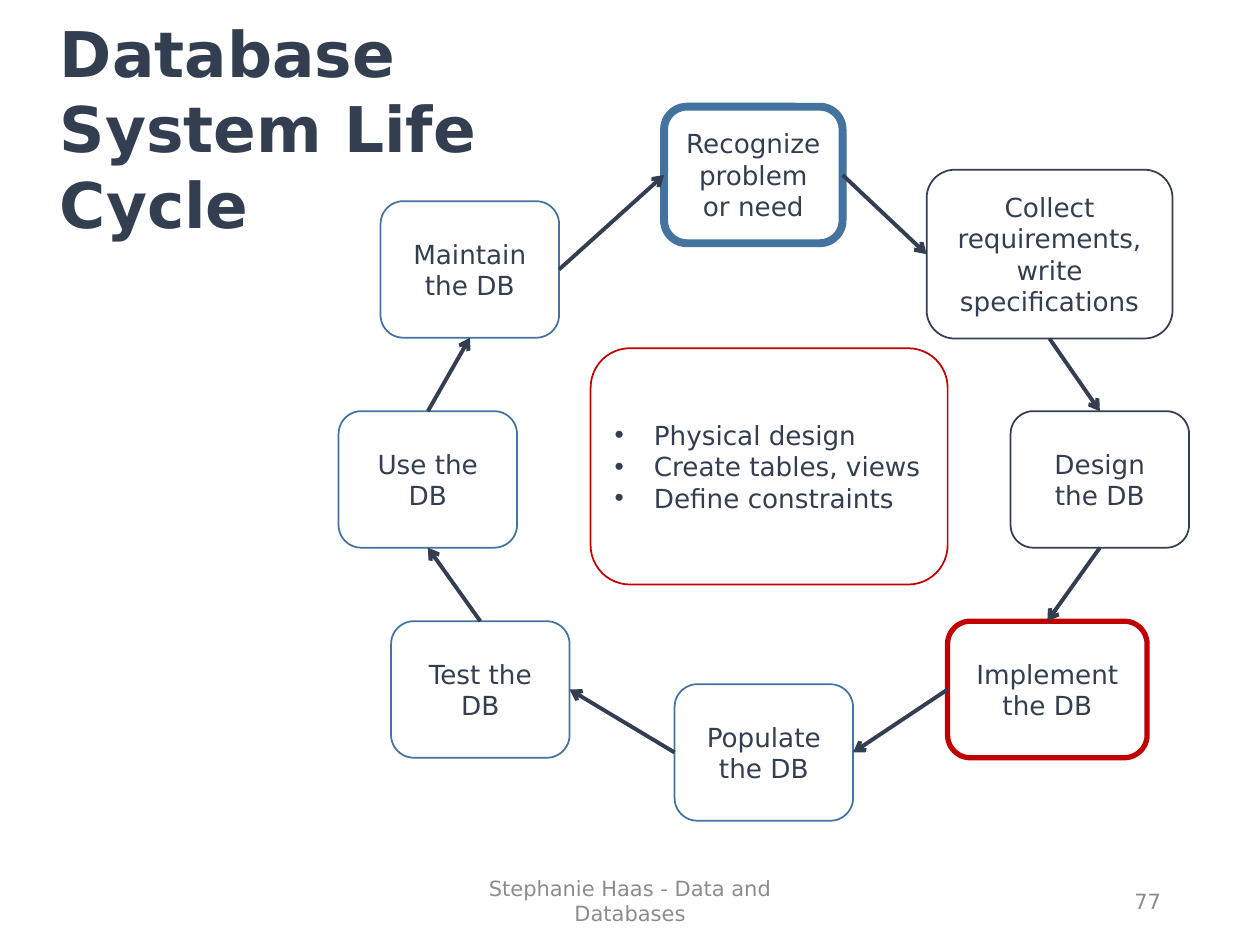
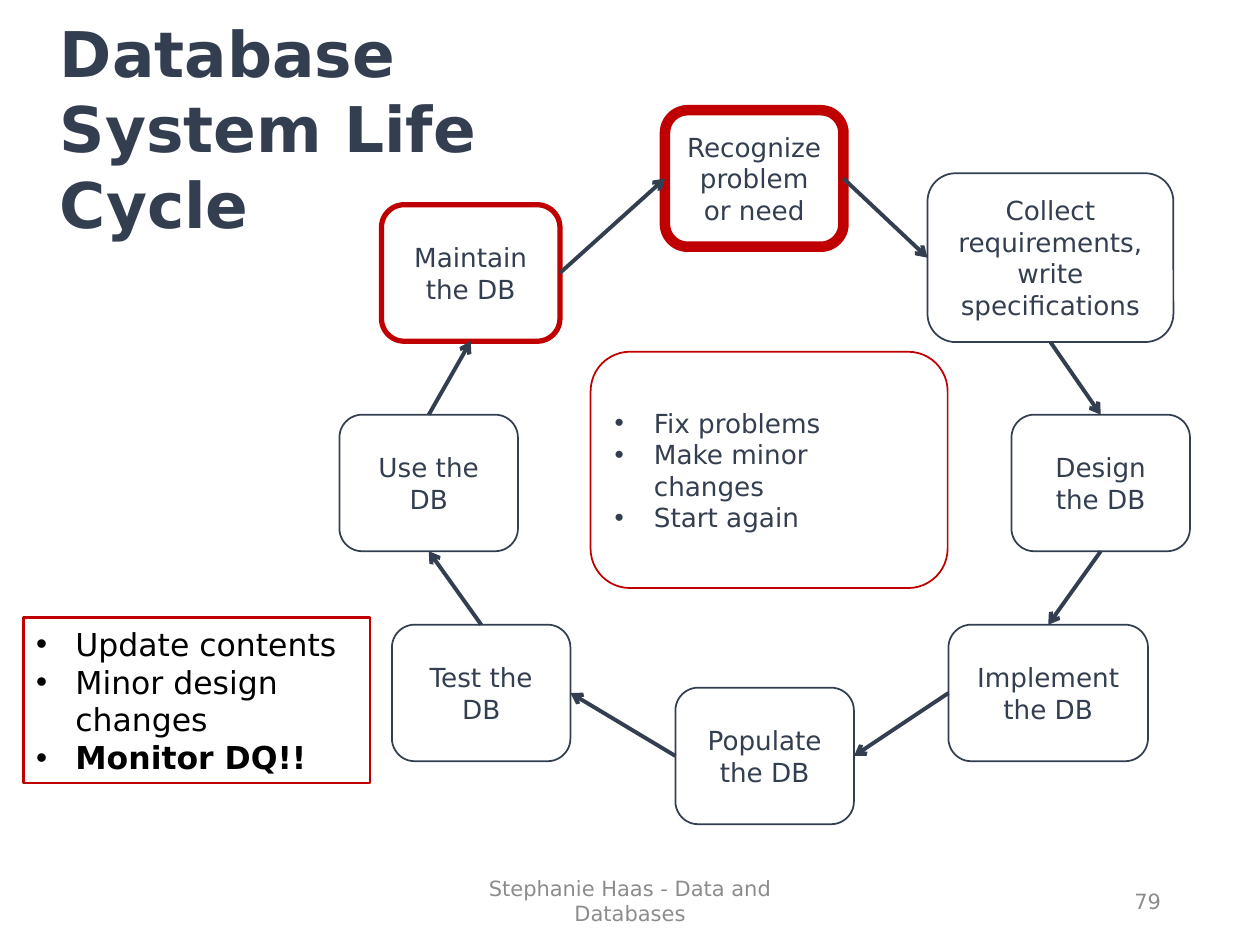
from lxml.etree import SubElement
from pptx import Presentation
from pptx.dml.color import RGBColor
from pptx.enum.shapes import MSO_CONNECTOR, MSO_SHAPE
from pptx.enum.text import MSO_ANCHOR, MSO_AUTO_SIZE, PP_ALIGN
from pptx.oxml.ns import qn
from pptx.util import Pt

NAVY = RGBColor(0x33, 0x3F, 0x50)
BLUE = RGBColor(0x43, 0x73, 0x9E)
RED = RGBColor(0xC0, 0x00, 0x00)
GRAY = RGBColor(0x8C, 0x8C, 0x8C)
BLACK = RGBColor(0x00, 0x00, 0x00)
FONT = "DejaVu Sans"
BULLET_INDENT = Pt(22.5)
TOP, LEFT, BOTTOM, RIGHT = range(4)

STAGE_WIDTH, STAGE_HEIGHT = 102, 78
# Stages in cycle order: label, left, top, width, height
STAGES = {
    "recognize": ("Recognize problem or need", 379.5, 61, STAGE_WIDTH, STAGE_HEIGHT),
    "collect": ("Collect requirements, write specifications", 529.5, 97, 140.5, 96.5),
    "design": ("Design the DB", 577.5, 235, STAGE_WIDTH, STAGE_HEIGHT),
    "implement": ("Implement the DB", 541.5, 355, 114, STAGE_HEIGHT),
    "populate": ("Populate the DB", 385.5, 391, STAGE_WIDTH, STAGE_HEIGHT),
    "test": ("Test the DB", 223.5, 355, STAGE_WIDTH, STAGE_HEIGHT),
    "use": ("Use the DB", 193.5, 235, STAGE_WIDTH, STAGE_HEIGHT),
    "maintain": ("Maintain the DB", 217.5, 115, STAGE_WIDTH, STAGE_HEIGHT),
}
# Sides where the arrow leaves a stage and enters the next one
ARROW_SIDES = [
    (RIGHT, LEFT), (BOTTOM, TOP), (BOTTOM, TOP), (LEFT, RIGHT),
    (LEFT, RIGHT), (TOP, BOTTOM), (TOP, BOTTOM), (RIGHT, LEFT),
]


def style_paragraph(paragraph, size, color, bold=False, align=PP_ALIGN.LEFT):
    paragraph.alignment = align
    font = paragraph.font
    font.name, font.size, font.bold = FONT, Pt(size), bold
    font.color.rgb = color


def add_outlined_box(slide, preset, left, top, width, height, color, weight):
    box = slide.shapes.add_shape(preset, Pt(left), Pt(top), Pt(width), Pt(height))
    box.shadow.inherit = False
    box.fill.background()
    box.line.color.rgb = color
    box.line.width = Pt(weight)
    box.text_frame.word_wrap = True
    box.text_frame.vertical_anchor = MSO_ANCHOR.MIDDLE
    return box


def add_bullets(box, items, size, color, bold_items=()):
    frame = box.text_frame
    for number, item in enumerate(items):
        paragraph = frame.add_paragraph() if number else frame.paragraphs[0]
        paragraph.text = item
        properties = paragraph._p.get_or_add_pPr()
        properties.set("marL", str(BULLET_INDENT))
        properties.set("indent", str(-BULLET_INDENT))
        SubElement(properties, qn("a:buFont"), typeface="Arial")
        SubElement(properties, qn("a:buChar"), char="•")
        style_paragraph(paragraph, size, color, item in bold_items)


def add_arrow(slide, source, source_side, target, target_side):
    arrow = slide.shapes.add_connector(MSO_CONNECTOR.STRAIGHT, 0, 0, 0, 0)
    arrow.begin_connect(source, source_side)
    arrow.end_connect(target, target_side)
    arrow.line.color.rgb = NAVY
    arrow.line.width = Pt(2.25)
    SubElement(arrow.line._get_or_add_ln(), qn("a:tailEnd"), type="arrow")
    SubElement(arrow._element.spPr, qn("a:effectLst"))


def add_cycle(slide, outlines, shift_x, shift_y):
    """Draw the ring of stages; outlines maps a stage to its colour and weight."""
    stages = []
    for key, (label, left, top, width, height) in STAGES.items():
        stage = add_outlined_box(
            slide, MSO_SHAPE.ROUNDED_RECTANGLE, left + shift_x, top + shift_y,
            width, height, *outlines.get(key, (NAVY, 1)))
        stage.text_frame.text = label
        style_paragraph(stage.text_frame.paragraphs[0], 15, NAVY, align=PP_ALIGN.CENTER)
        stages.append(stage)
    following = stages[1:] + stages[:1]
    for stage, next_stage, (leave, enter) in zip(stages, following, ARROW_SIDES):
        add_arrow(slide, stage, leave, next_stage, enter)


def add_activities(slide, items, shift_y):
    activities = add_outlined_box(
        slide, MSO_SHAPE.ROUNDED_RECTANGLE, 337.5, 199 + shift_y, 204, 135, RED, 1)
    add_bullets(activities, items, 15, NAVY)


def add_footer_text(slide, text, left, width, align):
    footer = slide.shapes.add_textbox(Pt(left), Pt(500.5), Pt(width), Pt(28.5))
    frame = footer.text_frame
    frame.word_wrap = True
    frame.vertical_anchor = MSO_ANCHOR.MIDDLE
    frame.text = text
    style_paragraph(frame.paragraphs[0], 12, GRAY, align=align)


def set_title(slide):
    title = slide.shapes.title
    title.left, title.top, title.width, title.height = Pt(27), Pt(4.5), Pt(255), Pt(138)
    frame = title.text_frame
    frame.text = "Database System Life Cycle"
    frame.word_wrap = True
    frame.auto_size = MSO_AUTO_SIZE.SHAPE_TO_FIT_TEXT
    frame.vertical_anchor = MSO_ANCHOR.TOP
    style_paragraph(frame.paragraphs[0], 36, NAVY, bold=True)


def add_cycle_slide(presentation, page, outlines, activities, shift_x=0, shift_y=0):
    slide = presentation.slides.add_slide(presentation.slide_layouts[5])
    set_title(slide)
    add_cycle(slide, outlines, shift_x, shift_y)
    add_activities(slide, activities, shift_y)
    add_footer_text(slide, "Stephanie Haas - Data and Databases", 240, 240, PP_ALIGN.CENTER)
    add_footer_text(slide, page, 508.5, 162, PP_ALIGN.RIGHT)
    return slide


def main():
    presentation = Presentation()
    presentation.slide_width, presentation.slide_height = Pt(720), Pt(540)

    later_stages = dict.fromkeys(["populate", "test", "use", "maintain"], (BLUE, 1))
    add_cycle_slide(
        presentation, "77",
        {"recognize": (BLUE, 4.5), "implement": (RED, 3), **later_stages},
        ["Physical design", "Create tables, views", "Define constraints"])

    maintenance = add_cycle_slide(
        presentation, "79",
        {"recognize": (RED, 6), "maintain": (RED, 3)},
        ["Fix problems", "Make minor changes", "Start again"],
        shift_x=0.5, shift_y=2)
    upkeep = add_outlined_box(
        maintenance, MSO_SHAPE.RECTANGLE, 13.5, 353, 198, 94.5, RED, 1.5)
    add_bullets(
        upkeep, ["Update contents", "Minor design changes", "Monitor DQ!!"],
        18, BLACK, bold_items=["Monitor DQ!!"])

    presentation.save("out.pptx")


if __name__ == "__main__":
    main()
